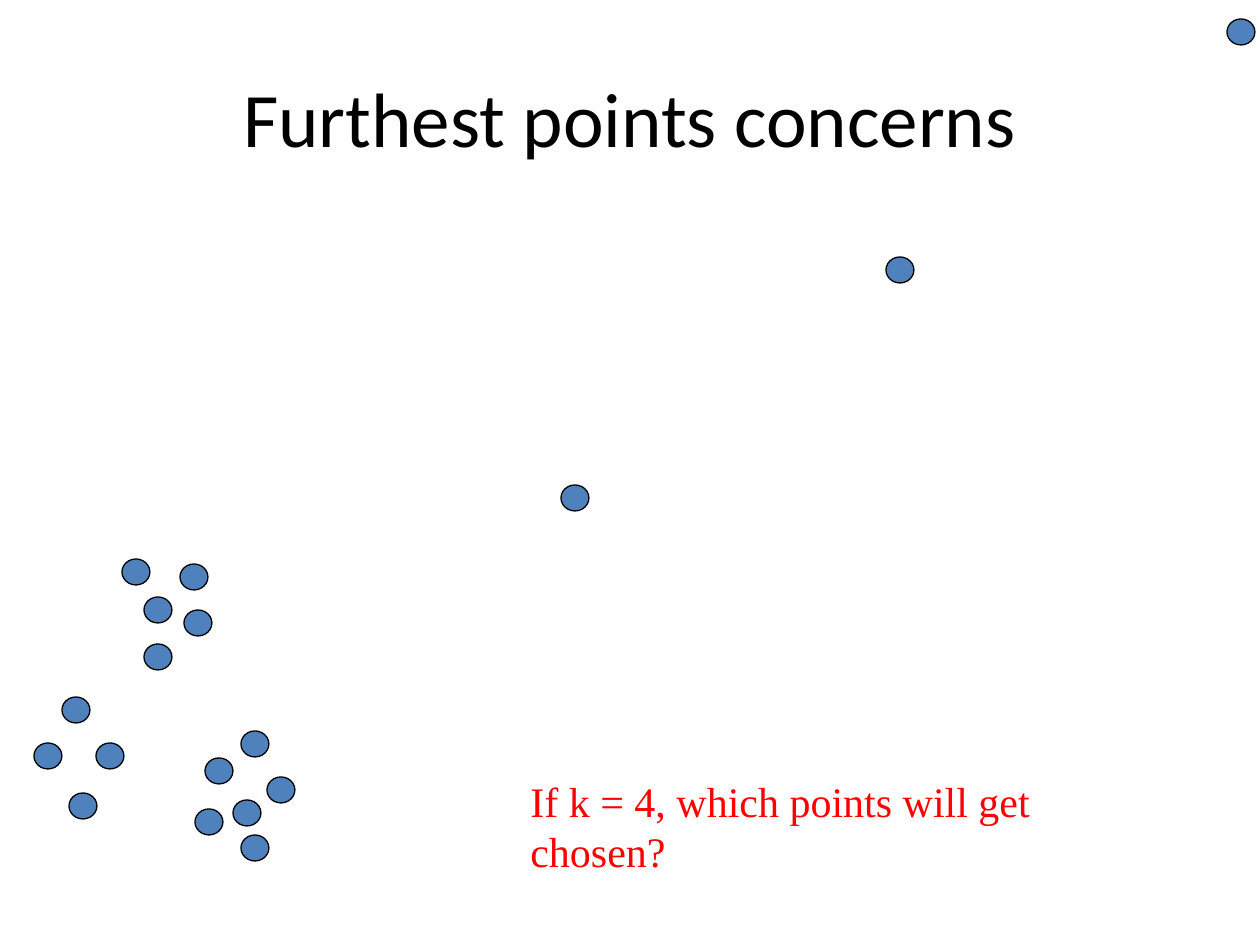
from dataclasses import dataclass

from pptx import Presentation
from pptx.dml.color import RGBColor
from pptx.enum.shapes import MSO_SHAPE
from pptx.enum.text import MSO_ANCHOR, PP_ALIGN
from pptx.util import Emu, Pt


@dataclass(frozen=True)
class Theme:
    title_color: RGBColor = RGBColor(0x00, 0x00, 0x00)
    question_color: RGBColor = RGBColor(0xFF, 0x00, 0x00)
    point_fill: RGBColor = RGBColor(0x4F, 0x81, 0xBD)
    point_line: RGBColor = RGBColor(0x00, 0x00, 0x00)
    title_font: str = "Calibri"
    question_font: str = "Times New Roman"
    title_size: int = 44
    question_size: int = 24
    line_width: float = 0.75


THEME = Theme()
PX_PER_INCH = 126


def px(*lengths):
    """Turn pixel lengths into EMU."""
    return [Emu(round(length * 914400 / PX_PER_INCH)) for length in lengths]


def add_text(box, text, font_name, size, color, align, anchor):
    frame = slide.shapes.add_textbox(*px(*box)).text_frame
    frame.word_wrap = True
    frame.vertical_anchor = anchor
    paragraph = frame.paragraphs[0]
    paragraph.text = text
    paragraph.alignment = align
    paragraph.font.name = font_name
    paragraph.font.size = Pt(size)
    paragraph.font.color.rgb = color


prs = Presentation()
prs.slide_width, prs.slide_height = px(1260, 945)
slide = prs.slides.add_slide(prs.slide_layouts[6])

add_text((63, 38, 1134, 157), "Furthest points concerns", THEME.title_font,
         THEME.title_size, THEME.title_color, PP_ALIGN.CENTER, MSO_ANCHOR.MIDDLE)

# Left and top of each data point, by group
POINT_WIDTH, POINT_HEIGHT = 28, 26
left_cluster = [(62, 697), (34, 743), (96, 743), (69, 793)]
upper_cluster = [(144, 597), (144, 644), (184, 610), (180, 564), (122, 559)]
lower_cluster = [(195, 809), (233, 800), (205, 758), (241, 731), (267, 777), (241, 835)]
outliers = [(1227, 19), (886, 257), (561, 485)]

for left, top in left_cluster + upper_cluster + lower_cluster + outliers:
    point = slide.shapes.add_shape(
        MSO_SHAPE.OVAL, *px(left, top, POINT_WIDTH, POINT_HEIGHT))
    point.shadow.inherit = False
    point.fill.solid()
    point.fill.fore_color.rgb = THEME.point_fill
    point.line.color.rgb = THEME.point_line
    point.line.width = Pt(THEME.line_width)

add_text((518, 769, 654, 63), "If k = 4, which points will get chosen?",
         THEME.question_font, THEME.question_size, THEME.question_color,
         PP_ALIGN.LEFT, MSO_ANCHOR.TOP)

prs.save("out.pptx")
